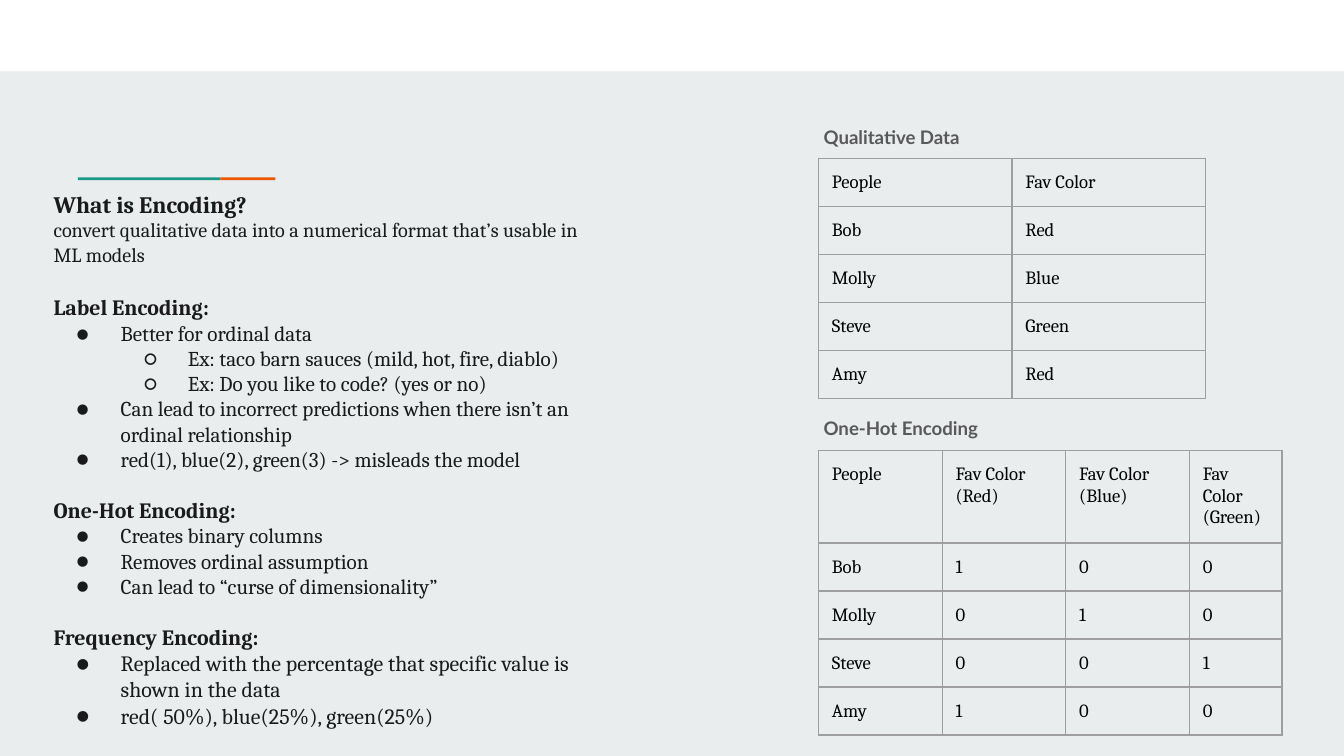
import pptx
import pptx.dml.color
import pptx.enum.shapes
import pptx.enum.text
import pptx.oxml
import pptx.oxml.ns
import pptx.util
from pptx.util import Inches

INK, GREY, BORDER = "1A1A1A", "595959", "9E9E9E"
TEAL, ORANGE = "1A9988", "EB5600"
SERIF, SANS = "Cambria", "Lato"

# Paragraph kinds: font size, bold, indent level (0 = no bullet)
KINDS = {
    "title": (12.6, True, 0),
    "lead": (10.8, False, 0),
    "heading": (11.7, True, 0),
    "point": (11.25, False, 1),
    "example": (11.25, False, 2),
    "large point": (11.7, False, 1),
}
BULLETS = {1: "●", 2: "○"}

# Kind, wording, space before in points
NOTES = [
    ("title", "What is Encoding?", 0),
    ("lead", "convert qualitative data into a numerical format that’s usable in ML models", 0),
    ("heading", "Label Encoding:", 15),
    ("point", "Better for ordinal data", 0),
    ("example", "Ex: taco barn sauces (mild, hot, fire, diablo)", 0),
    ("example", "Ex: Do you like to code? (yes or no)", 0),
    ("point", "Can lead to incorrect predictions when there isn’t an ordinal relationship", 0),
    ("point", "red(1), blue(2), green(3) -> misleads the model", 0),
    ("heading", "One-Hot Encoding:", 13.5),
    ("point", "Creates binary columns", 0),
    ("point", "Removes ordinal assumption", 0),
    ("point", "Can lead to “curse of dimensionality”", 0),
    ("heading", "Frequency Encoding:", 13.5),
    ("large point", "Replaced with the percentage that specific value is shown in the data", 0),
    ("large point", "red( 50%), blue(25%), green(25%)", 0),
]

COLORS = ["Red", "Blue", "Green"]
FAVORITES = {"Bob": "Red", "Molly": "Blue", "Steve": "Green", "Amy": "Red"}
QUALITATIVE = [["People", "Fav Color"]] + [list(pair) for pair in FAVORITES.items()]
ONE_HOT = [["People"] + [f"Fav Color ({color})" for color in COLORS]] + [
    [person] + [str(int(favorite == color)) for color in COLORS]
    for person, favorite in FAVORITES.items()
]


def rgb(value):
    return pptx.dml.color.RGBColor.from_string(value)


def style_run(run, color, **font_format):
    for name, value in font_format.items():
        setattr(run.font, name, value)
    run.font.color.rgb = rgb(color)


def add_bar(slide, left, top, width, height, color):
    bar = slide.shapes.add_shape(
        pptx.enum.shapes.MSO_SHAPE.RECTANGLE,
        Inches(left), Inches(top), Inches(width), Inches(height))
    bar.shadow.inherit = False
    bar.fill.solid()
    bar.fill.fore_color.rgb = rgb(color)
    bar.line.fill.background()


def add_text_frame(slide, left, top, width, height):
    box = slide.shapes.add_textbox(
        Inches(left), Inches(top), Inches(width), Inches(height))
    frame_format = {
        "word_wrap": True,
        "vertical_anchor": pptx.enum.text.MSO_ANCHOR.TOP,
        "margin_left": Inches(0.1), "margin_right": Inches(0.1),
        "margin_top": Inches(0.1), "margin_bottom": Inches(0.1),
    }
    for name, value in frame_format.items():
        setattr(box.text_frame, name, value)
    return box.text_frame


def add_bullet(paragraph, level):
    properties = paragraph._p.get_or_add_pPr()
    properties.set("marL", str(Inches(0.5 * level)))
    properties.set("indent", str(Inches(-0.33)))
    properties.set("lvl", str(level - 1))
    namespace = pptx.oxml.ns.nsdecls("a")
    for xml in (
        f'<a:buClr {namespace}><a:srgbClr val="{INK}"/></a:buClr>',
        f'<a:buFont {namespace} typeface="{SANS}"/>',
        f'<a:buChar {namespace} char="{BULLETS[level]}"/>',
    ):
        properties.append(pptx.oxml.parse_xml(xml))


def border_cell(cell):
    properties = cell._tc.get_or_add_tcPr()
    for side in ("lnL", "lnR", "lnT", "lnB"):
        properties.append(pptx.oxml.parse_xml(
            f'<a:{side} {pptx.oxml.ns.nsdecls("a")} w="{pptx.util.Pt(0.75)}">'
            f'<a:solidFill><a:srgbClr val="{BORDER}"/></a:solidFill></a:{side}>'))


def add_accent(slide, left, top, width):
    """Thin rule, teal then orange."""
    orange_width = 0.41
    teal_width = width - orange_width
    add_bar(slide, left, top, teal_width, 0.02, TEAL)
    add_bar(slide, left + teal_width, top, orange_width, 0.02, ORANGE)


def add_notes(slide, left, top, width, height):
    """Definition and the three encoding methods."""
    frame = add_text_frame(slide, left, top, width, height)
    for index, (kind, wording, gap) in enumerate(NOTES):
        size, bold, level = KINDS[kind]
        paragraph = frame.add_paragraph() if index else frame.paragraphs[0]
        paragraph.space_before = pptx.util.Pt(gap)
        if level:
            add_bullet(paragraph, level)
        run = paragraph.add_run()
        run.text = wording
        style_run(run, INK, name=SERIF, size=pptx.util.Pt(size), bold=bold)


def add_titled_table(slide, left, top, title, rows, widths, heights):
    """Table with its label just above it."""
    label = add_text_frame(slide, left - 0.06, top - 0.33, 3.68, 0.4)
    run = label.paragraphs[0].add_run()
    run.text = title
    style_run(run, GREY, name=SANS, size=pptx.util.Pt(10), bold=True)

    table = slide.shapes.add_table(
        len(rows), len(widths), Inches(left), Inches(top),
        Inches(sum(widths)), Inches(sum(heights))).table
    table.first_row = table.horz_banding = False
    for column, width in zip(table.columns, widths):
        column.width = Inches(width)
    for row, height in zip(table.rows, heights):
        row.height = Inches(height)
    margins = {"left": 0.1, "right": 0.1, "top": 0.1, "bottom": 0.09}
    for r, values in enumerate(rows):
        for c, value in enumerate(values):
            cell = table.cell(r, c)
            for side, margin in margins.items():
                setattr(cell, f"margin_{side}", Inches(margin))
            border_cell(cell)
            cell.fill.background()
            cell_run = cell.text_frame.paragraphs[0].add_run()
            cell_run.text = value
            style_run(cell_run, "000000", name=SERIF, size=pptx.util.Pt(10), bold=False)


def main():
    deck = pptx.Presentation()
    # Widescreen, 16:9
    deck.slide_width = Inches(10)
    deck.slide_height = deck.slide_width * 9 // 16
    slide = deck.slides.add_slide(deck.slide_layouts[6])
    slide.background.fill.solid()
    slide.background.fill.fore_color.rgb = rgb("E9EDEE")

    # Top band and accent rule
    add_bar(slide, 0, 0, 10, 0.53, "FFFFFF")
    add_accent(slide, 0.58, 1.32, 1.47)

    # Left column
    add_notes(slide, 0.3, 1.31, 4.15, 3.59)

    # Right column
    add_titled_table(slide, 6.09, 1.18, "Qualitative Data", QUALITATIVE,
                     [1.44] * 2, [0.33] * 5)
    add_titled_table(slide, 6.09, 3.35, "One-Hot Encoding", ONE_HOT,
                     [0.92] * 3 + [0.69], [0.44] + [0.3] * 4)
    deck.save("out.pptx")


if __name__ == "__main__":
    main()
